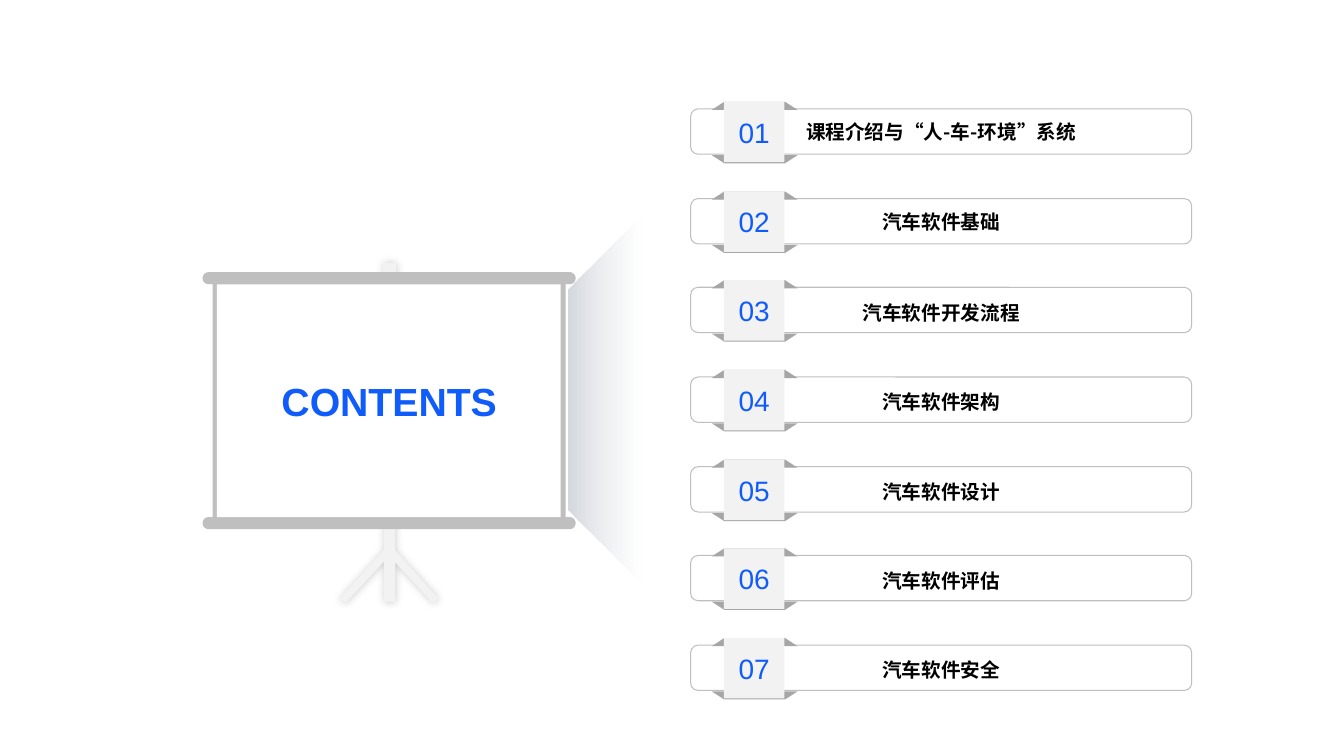
from math import cos, radians, sin

from lxml.etree import SubElement
from pptx import Presentation
from pptx.dml.color import RGBColor
from pptx.enum.shapes import MSO_SHAPE
from pptx.enum.text import MSO_ANCHOR, MSO_AUTO_SIZE, PP_ALIGN
from pptx.oxml.ns import qn
from pptx.util import Pt

PX = 9144
BLUE = RGBColor(0x10, 0x5C, 0xFB)
BLACK = RGBColor(0, 0, 0)
WHITE = RGBColor(0xFF, 0xFF, 0xFF)
PALE = RGBColor(0xF2, 0xF2, 0xF2)
SILVER = RGBColor(0xBF, 0xBF, 0xBF)
GREY = RGBColor(0xA6, 0xA6, 0xA6)
BEAM_START = RGBColor(0xD5, 0xD9, 0xDE)
BEAM_END = RGBColor(0xE5, 0xE7, 0xEB)
LATIN = "Arial"
CJK = "Noto Sans CJK SC"

CHAPTERS = [
    "课程介绍与“人-车-环境”系统",
    "汽车软件基础",
    "汽车软件开发流程",
    "汽车软件架构",
    "汽车软件设计",
    "汽车软件评估",
    "汽车软件安全",
]


def paint(sp, fill=None, line=None):
    sp.shadow.inherit = False
    if fill is None:
        sp.fill.background()
    else:
        sp.fill.solid()
        sp.fill.fore_color.rgb = fill
    if line is None:
        sp.line.fill.background()
    else:
        sp.line.color.rgb = line
        sp.line.width = Pt(0.75)


def add_box(s, kind, x, y, w, h, fill=None, line=None):
    sp = s.shapes.add_shape(kind, x * PX, y * PX, w * PX, h * PX)
    paint(sp, fill, line)
    return sp


def add_outline(s, x, y, contours, fill):
    placed = [[((x + a) * PX, (y + b) * PX) for a, b in c] for c in contours]
    builder = s.shapes.build_freeform(*placed[0][0], scale=1.0)
    for i, points in enumerate(placed):
        if i:
            builder.move_to(*points[0])
        builder.add_line_segments(points[1:], close=True)
    sp = builder.convert_to_shape()
    paint(sp, fill)
    return sp


def write(sp, text, font, size, color, bold=False, spacing=None):
    tf = sp.text_frame
    tf.text = text
    tf.vertical_anchor = MSO_ANCHOR.MIDDLE
    p = tf.paragraphs[0]
    p.alignment = PP_ALIGN.CENTER
    if spacing:
        p.line_spacing = spacing
    r = p.runs[0]
    r.font.name = font
    r.font.size = Pt(size)
    r.font.bold = bold
    r.font.color.rgb = color
    SubElement(r.font._element, qn("a:ea"), typeface=font)


def cap(cx, cy, radius, start):
    angles = [radians(start + step) for step in range(0, 181, 15)]
    return [(cx + radius * cos(a), cy + radius * sin(a)) for a in angles]


def add_tripod(s, x, y):
    post = [(43, 0), (56, 0), (56, 18), (43, 18)]
    legs = [(44, 235), (55, 235), (55, 285), (98, 333), (92, 337), (55, 297),
            (55, 336), (44, 336), (44, 296), (6, 337), (0, 333), (44, 284)]
    sp = add_outline(s, x, y, [post, legs], PALE)
    effects = sp._element.spPr.find(qn("a:effectLst"))
    shadow = SubElement(effects, qn("a:outerShdw"), blurRad=str(Pt(6)),
                        dist="0", dir="13500000", rotWithShape="0")
    tint = SubElement(shadow, qn("a:srgbClr"), val=str(BLACK))
    SubElement(tint, qn("a:alpha"), val="20000")


def add_frame(s, x, y, w, h):
    rad, rail = 6, 10
    left, right, low = rad, w - rad, h - rad
    outline = (cap(left, rad, rad, 90) + cap(right, rad, rad, -90)
               + [(w - rail, 2 * rad), (w - rail, h - 2 * rad)]
               + cap(right, low, rad, -90) + cap(left, low, rad, 90)
               + [(rail, h - 2 * rad), (rail, 2 * rad)])
    add_outline(s, x, y, [outline], SILVER)
    add_box(s, MSO_SHAPE.RECTANGLE, x + 14, y + 12, w - 29, h - 24, WHITE)


def add_beam(s, x, y, w, h):
    sp = add_box(s, MSO_SHAPE.TRAPEZOID, x + (w - h) // 2, y + (h - w) // 2, h, w)
    sp.rotation = 270
    sp.adjustments[0] = 1.013
    sp.fill.gradient()
    sp.fill.gradient_angle = 270
    stops = sp.fill.gradient_stops
    for stop, color, position in zip(stops, (BEAM_START, BEAM_END), (0, 1)):
        stop.color.rgb = color
        stop.position = position
    tint = sp.fill._xPr.findall(".//" + qn("a:srgbClr"))[-1]
    SubElement(tint, qn("a:alpha"), val="0")


def add_title(s, x, y, w, h):
    title = s.shapes.title
    title.left, title.top, title.width, title.height = (v * PX for v in (x, y, w, h))
    write(title, "CONTENTS", LATIN, 28, BLUE, bold=True)
    title.text_frame.word_wrap = False
    title.text_frame.auto_size = MSO_AUTO_SIZE.NONE
    s.shapes.element.append(title.element)


def add_board(s, x, y):
    add_tripod(s, x + 136, y - 9)
    add_frame(s, x, y, 370, 255)
    add_beam(s, x + 363, y - 55, 71, 363)
    add_title(s, x + 67, y + 99, 236, 57)


def add_chapter(s, x, y, w, number, text):
    bar = add_box(s, MSO_SHAPE.ROUNDED_RECTANGLE, x, y + 7, w, 45, line=SILVER)
    write(bar, text, CJK, 14, BLACK, bold=True, spacing=1.2 if number > 2 else None)
    for offset, flip in ((53, True), (0, False)):
        fold = add_box(s, MSO_SHAPE.TRAPEZOID, x + 21, y + offset, 85, 8, GREY)
        fold.adjustments[0] = 1.546
        if flip:
            fold._element.spPr.xfrm.set("flipV", "1")
    tile = add_box(s, MSO_SHAPE.RECTANGLE, x + 33, y, 60, 60, PALE)
    write(tile, f"{number:02d}", LATIN, 20, BLUE)


def add_chapters(s, x, y, w, h):
    pitch = (h - 60) / (len(CHAPTERS) - 1)
    for i, text in enumerate(CHAPTERS):
        add_chapter(s, x, y + round(i * pitch), w, i + 1, text)


def main():
    prs = Presentation()
    prs.slide_width = 1333 * PX
    prs.slide_height = 750 * PX
    s = prs.slides.add_slide(prs.slide_layouts[5])
    add_board(s, 201, 270)
    add_chapters(s, 685, 101, 497, 592)
    prs.save("out.pptx")


if __name__ == "__main__":
    main()
